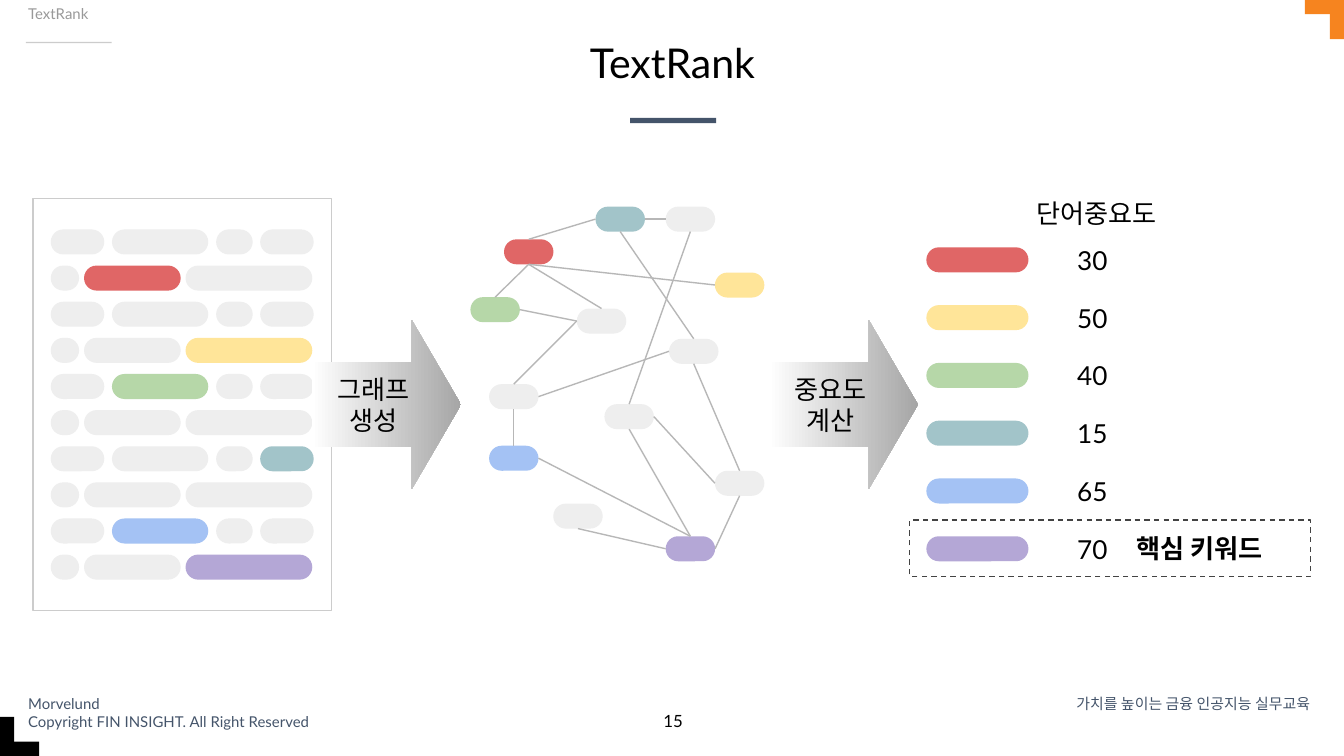
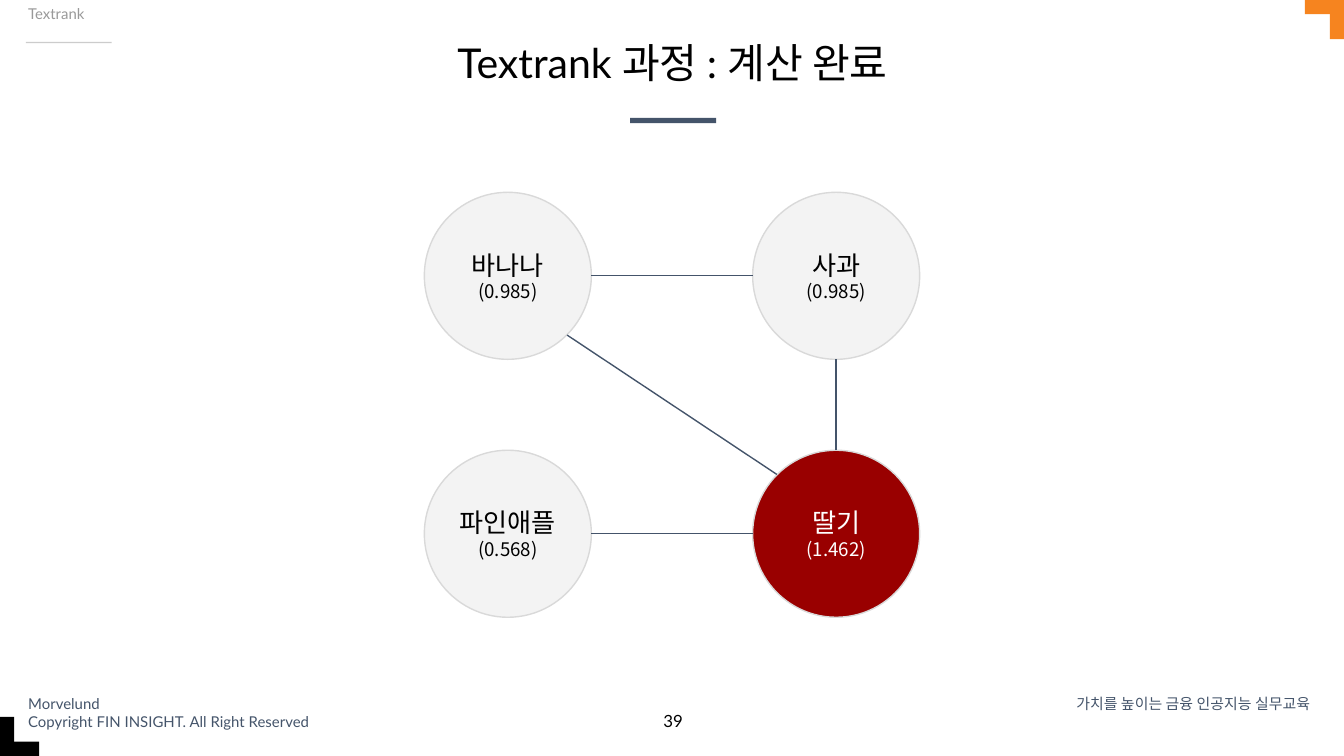
from dataclasses import dataclass

from lxml import etree
from pptx import Presentation
from pptx.dml.color import RGBColor
from pptx.enum.dml import MSO_LINE
from pptx.enum.shapes import MSO_CONNECTOR, MSO_SHAPE
from pptx.enum.text import MSO_ANCHOR, PP_ALIGN
from pptx.oxml.ns import qn
from pptx.util import Pt

# ---------- Content ----------
FOOTER_LEFT = ["Morvelund", "Copyright FIN INSIGHT. All Right Reserved"]
FOOTER_RIGHT = ["가치를 높이는 금융 인공지능 실무교육"]

SCORE_HEADING = "단어중요도"
KEYWORD_LABEL = "핵심 키워드"
SCORES = [("red", 30), ("yellow", 50), ("green", 40), ("teal", 15), ("blue", 65), ("purple", 70)]

# Word pills as (left, width); document rows alternate between the two patterns
WORD_PATTERNS = [
    [(27.2, 28.7), (60, 51.6), (115.8, 19.6), (139.4, 28.7)],
    [(27.2, 15.2), (45, 51.8), (99.4, 67.9)],
]
WORD_ROWS = 10
COLOURED_WORDS = {(1, 1): "red", (3, 2): "yellow", (4, 1): "green",
                  (6, 3): "teal", (8, 1): "blue", (9, 2): "purple"}

STEPS = [(167, ["그래프", "생성"]), (411.8, ["중요도", "계산"])]

# Graph nodes: name -> (left, top); uncoloured words carry a number
GRAPH_NODES = {
    "red": (270, 128.2), "yellow": (383, 146), "green": (252, 159.2),
    "teal": (319, 110.7), "blue": (262, 238.8), "purple": (356.6, 287.3),
    "word 1": (262, 205.8), "word 2": (296.4, 269.8), "word 3": (358.4, 181.5),
    "word 4": (356.6, 110.7), "word 5": (309, 165.3), "word 6": (323.8, 216.5),
    "word 7": (383, 252.2),
}
GRAPH_EDGES = [
    ("red", "bottom", "green", "top"), ("red", "bottom", "word 5", "top"),
    ("red", "bottom", "yellow", "left"), ("word 4", "left", "teal", "right"),
    ("word 3", "top", "teal", "bottom"), ("word 3", "left", "word 1", "right"),
    ("word 5", "left", "word 1", "top"), ("word 5", "left", "green", "right"),
    ("blue", "top", "word 1", "bottom"), ("red", "top", "teal", "left"),
    ("word 3", "bottom", "word 7", "top"), ("word 6", "right", "word 7", "left"),
    ("word 6", "bottom", "purple", "top"), ("blue", "right", "purple", "top"),
    ("word 2", "bottom", "purple", "left"), ("purple", "right", "word 7", "bottom"),
    ("word 4", "bottom", "word 6", "top"),
]

# Fruit circles as (name, score, column, row)
FRUITS = [("바나나", "0.985", 0, 0), ("사과", "0.985", 1, 0),
          ("파인애플", "0.568", 0, 1), ("딸기", "1.462", 1, 1)]
TOP_FRUIT = "딸기"
FRUIT_EDGES = [
    ("바나나", "right", "사과", "left"), ("딸기", "top", "사과", "bottom"),
    ("딸기", "upper left", "바나나", "lower right"), ("딸기", "left", "파인애플", "right"),
]

# Attachment points, in half widths and half heights from the centre
SIDES = {"top": (0, -1), "left": (-1, 0), "bottom": (0, 1), "right": (1, 0),
         "upper left": (-0.71, -0.71), "lower right": (0.71, 0.71)}


# ---------- Theme ----------
@dataclass(frozen=True)
class Theme:
    font: str = "Lato"
    step_font: str = "Arial"
    korean_font: str = "Noto Sans CJK KR"
    title_size: float = 22
    body_size: float = 14
    score_size: float = 10
    page_size: float = 9
    small_size: float = 8
    thin: float = 0.75
    black: str = "000000"
    white: str = "FFFFFF"
    navy: str = "44546A"
    orange: str = "F6841F"
    muted: str = "999999"
    rule: str = "CCCCCC"
    edge: str = "B7B7B7"
    arrow_end: str = "A6A6A6"
    dash: str = "434343"
    circle: str = "F3F3F3"
    circle_line: str = "D9D9D9"
    top_circle: str = "990000"
    plain_word: str = "EEEEEE"
    red: str = "E06666"
    yellow: str = "FFE599"
    green: str = "B6D7A8"
    teal: str = "A2C4C9"
    blue: str = "A4C2F4"
    purple: str = "B4A7D6"


THEME = Theme()
SLIDE_WIDTH, SLIDE_HEIGHT = 720, 405
PILL_HEIGHT = 13.4


def word_colour(name):
    return getattr(THEME, name or "", THEME.plain_word)


# ---------- Helpers ----------
def add_block(shapes, kind, box, fill=None, line=None):
    shape = shapes.add_shape(kind, *map(Pt, box))
    shape.shadow.inherit = False
    if fill:
        shape.fill.solid()
        shape.fill.fore_color.rgb = RGBColor.from_string(fill)
    else:
        shape.fill.background()
    if line:
        shape.line.color.rgb = RGBColor.from_string(line)
        shape.line.width = Pt(THEME.thin)
    else:
        shape.line.fill.background()
    return shape


def add_pill(shapes, left, top, width, colour):
    pill = add_block(shapes, MSO_SHAPE.ROUNDED_RECTANGLE, (left, top, width, PILL_HEIGHT), colour)
    pill.adjustments[0] = 0.5
    return pill


def write(shape, lines, sizes, colour=THEME.black, font=THEME.font, align=PP_ALIGN.LEFT,
          anchor=MSO_ANCHOR.TOP, insets=(7.2, 7.2, 7.2, 7.2), bold=False, spacing=None):
    """Fill a shape with one paragraph per line; sizes holds one size per line."""
    frame = shape.text_frame
    frame.text = "\n".join(lines)
    frame.word_wrap = True
    frame.vertical_anchor = anchor
    frame.margin_left, frame.margin_top, frame.margin_right, frame.margin_bottom = map(Pt, insets)
    for paragraph, size in zip(frame.paragraphs, sizes):
        paragraph.alignment = align
        if spacing:
            paragraph.line_spacing = spacing
        for run in paragraph.runs:
            run.font.name = font
            run.font.size = Pt(size)
            run.font.bold = bold
            run.font.color.rgb = RGBColor.from_string(colour)
            east_asian = etree.SubElement(run.font._element, qn("a:ea"))
            east_asian.set("typeface", THEME.korean_font)


def add_text(slide, box, lines, size, **style):
    text_box = slide.shapes.add_textbox(*map(Pt, box))
    write(text_box, lines, [size] * len(lines), **style)


def side_point(shape, side):
    across, down = SIDES[side]
    return (int(shape.left + shape.width * (1 + across) / 2),
            int(shape.top + shape.height * (1 + down) / 2))


def add_links(slide, nodes, edges, colour):
    for start, start_side, end, end_side in edges:
        connector = slide.shapes.add_connector(
            MSO_CONNECTOR.STRAIGHT,
            *side_point(nodes[start], start_side), *side_point(nodes[end], end_side))
        connector.line.color.rgb = RGBColor.from_string(colour)
        connector.line.width = Pt(THEME.thin)
        etree.SubElement(connector._element.spPr, qn("a:effectLst"))


# ---------- Shared slide frame ----------
def add_framed_slide(presentation, title, section, page):
    slide = presentation.slides.add_slide(presentation.slide_layouts[6])
    arm, thick = 21, 7.6
    frame_blocks = [
        ((337.6, 63.2, 46, 2.8), THEME.navy),
        ((13.8, 22.4, 46, 0.7), THEME.rule),
        ((0, SLIDE_HEIGHT - thick, arm, thick), THEME.black),
        ((0, SLIDE_HEIGHT - arm, thick, arm), THEME.black),
        ((SLIDE_WIDTH - arm, 0, arm, thick), THEME.orange),
        ((SLIDE_WIDTH - thick, 0, thick, arm), THEME.orange),
    ]
    for box, colour in frame_blocks:
        add_block(slide.shapes, MSO_SHAPE.RECTANGLE, box, colour)

    small = {"insets": (7.2, 3.6, 7.2, 3.6)}
    add_text(slide, (8, 368.6, 214.6, 19.4), FOOTER_LEFT, THEME.small_size,
             colour=THEME.navy, **small)
    add_text(slide, (558.7, 368.6, 150.5, 12.2), FOOTER_RIGHT, THEME.small_size,
             colour=THEME.navy, align=PP_ALIGN.RIGHT, **small)
    add_text(slide, (37.4, 21.6, 645.8, 28.8), [title], THEME.title_size,
             align=PP_ALIGN.CENTER, insets=(2.9, 1.4, 2.9, 1.4), spacing=0.9)
    add_text(slide, (8, 0, 204.5, 28.8), [section], THEME.small_size,
             colour=THEME.muted, spacing=0.9, **small)
    add_text(slide, (339, 375.1, 43.2, 29.9), [str(page)], THEME.page_size,
             align=PP_ALIGN.CENTER)
    return slide


# ---------- Overview slide ----------
def add_document(slide):
    shapes = slide.shapes.add_group_shape().shapes
    add_block(shapes, MSO_SHAPE.RECTANGLE, (17.8, 106.4, 160, 220.6), THEME.white, THEME.rule)
    for row in range(WORD_ROWS):
        for column, (left, width) in enumerate(WORD_PATTERNS[row % 2]):
            colour = word_colour(COLOURED_WORDS.get((row, column)))
            add_pill(shapes, left, 122.9 + row * 19.36, width, colour)


def add_scores(slide):
    add_text(slide, (545, 98.6, 85, 21.6), [SCORE_HEADING], THEME.body_size,
             align=PP_ALIGN.CENTER)
    for row, (name, score) in enumerate(SCORES):
        top = 132.5 + row * 30.96
        add_pill(slide.shapes, 496.3, top, 54.7, word_colour(name))
        add_text(slide, (570, top, 56, PILL_HEIGHT), [str(score)], THEME.body_size,
                 anchor=MSO_ANCHOR.MIDDLE)


def add_step_arrow(slide, left, lines):
    arrow = add_block(slide.shapes, MSO_SHAPE.RIGHT_ARROW, (left, 171.4, 80, 90.7))
    arrow.adjustments[0], arrow.adjustments[1] = 0.5, 0.33
    arrow.fill.gradient()
    arrow.fill.gradient_angle = 0
    for stop, colour in zip(arrow.fill.gradient_stops, (THEME.white, THEME.arrow_end)):
        stop.color.rgb = RGBColor.from_string(colour)
    write(arrow, lines, [THEME.body_size] * len(lines), font=THEME.step_font,
          align=PP_ALIGN.CENTER, anchor=MSO_ANCHOR.MIDDLE)


def build_overview(presentation):
    slide = add_framed_slide(presentation, "TextRank", "TextRank", 15)
    # Frame around the winning keyword
    keyword = add_block(slide.shapes, MSO_SHAPE.RECTANGLE, (487.4, 278.6, 214.6, 30.2),
                        line=THEME.dash)
    keyword.line.dash_style = MSO_LINE.DASH
    write(keyword, [KEYWORD_LABEL], [THEME.body_size], bold=True, align=PP_ALIGN.RIGHT,
          anchor=MSO_ANCHOR.MIDDLE, insets=(7.2, 7.2, 25.5, 7.2))
    add_document(slide)
    add_scores(slide)
    for left, lines in STEPS:
        add_step_arrow(slide, left, lines)
    # Word graph
    nodes = {name: add_pill(slide.shapes, left, top, 26.5, word_colour(name))
             for name, (left, top) in GRAPH_NODES.items()}
    add_links(slide, nodes, GRAPH_EDGES, THEME.edge)


# ---------- Result slide ----------
def build_result(presentation):
    slide = add_framed_slide(presentation, "Textrank 과정 : 계산 완료", "Textrank", 39)
    circles = {}
    for name, score, column, row in FRUITS:
        is_top = name == TOP_FRUIT
        box = (227.3 + column * 175.9, 103 + row * 138.2, 89.5, 89.5)
        circles[name] = add_block(slide.shapes, MSO_SHAPE.OVAL, box,
                                  THEME.top_circle if is_top else THEME.circle,
                                  THEME.circle_line)
        write(circles[name], [name, f"({score})"], [THEME.body_size, THEME.score_size],
              colour=THEME.white if is_top else THEME.black, font=THEME.korean_font,
              align=PP_ALIGN.CENTER, anchor=MSO_ANCHOR.MIDDLE, insets=(0, 7.2, 0, 7.2))
    add_links(slide, circles, FRUIT_EDGES, THEME.navy)


def main():
    presentation = Presentation()
    presentation.slide_width, presentation.slide_height = Pt(SLIDE_WIDTH), Pt(SLIDE_HEIGHT)
    build_overview(presentation)
    build_result(presentation)
    presentation.save("out.pptx")


if __name__ == "__main__":
    main()
